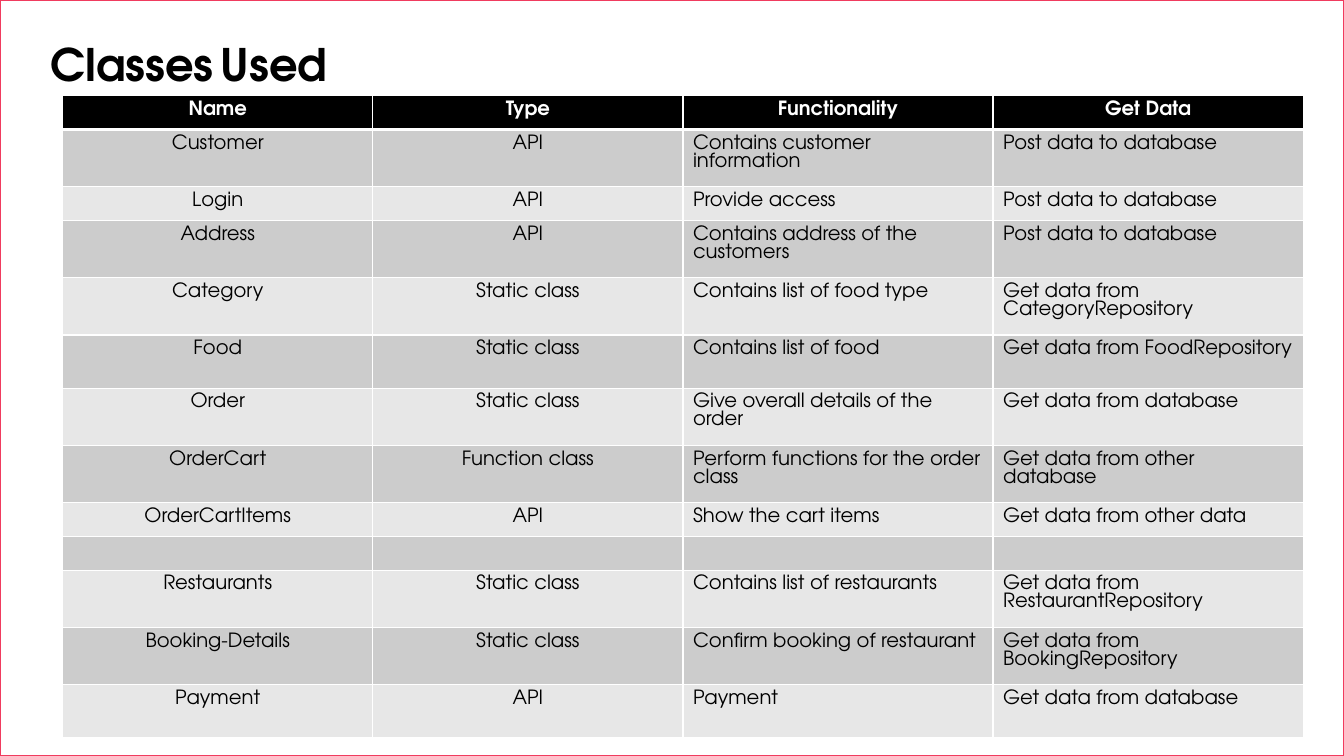
from lxml.etree import SubElement
from pptx import Presentation
from pptx.dml.color import RGBColor
from pptx.enum.shapes import MSO_SHAPE
from pptx.enum.text import MSO_ANCHOR, MSO_AUTO_SIZE, PP_ALIGN
from pptx.oxml.ns import qn
from pptx.util import Inches, Pt

BLACK = RGBColor(0x00, 0x00, 0x00)
WHITE = RGBColor(0xFF, 0xFF, 0xFF)
CHARCOAL = RGBColor(0x21, 0x21, 0x21)
ROSE = RGBColor(0xF0, 0x3B, 0x5E)
DARK_BAND = RGBColor(0xCC, 0xCC, 0xCC)
LIGHT_BAND = RGBColor(0xE7, 0xE7, 0xE7)

TIGHT, MEDIUM, TALL = 4.47, 7.05, 7.57

CLASSES = [
    (TIGHT, "Name", "Type", "Functionality", "Get Data"),
    (TALL, "Customer", "API", "Contains customer information", "Post data to database"),
    (TIGHT, "Login", "API", "Provide access", "Post data to database"),
    (TALL, "Address", "API", "Contains address of the customers", "Post data to database"),
    (TALL, "Category", "Static class", "Contains list of food type",
     "Get data from CategoryRepository"),
    (MEDIUM, "Food", "Static class", "Contains list of food", "Get data from FoodRepository"),
    (TALL, "Order", "Static class", "Give overall details of the order",
     "Get data from database"),
    (TALL, "OrderCart", "Function class", "Perform functions for the order class",
     "Get data from other database"),
    (TIGHT, "OrderCartItems", "API", "Show the cart items", "Get data from other data"),
    (TIGHT, "", "", "", ""),
    (TALL, "Restaurants", "Static class", "Contains list of restaurants",
     "Get data from RestaurantRepository"),
    (TALL, "Booking-Details", "Static class", "Confirm booking of restaurant",
     "Get data from BookingRepository"),
    (MEDIUM, "Payment", "API", "Payment", "Get data from database"),
]


class Deck:
    font = "TeX Gyre Adventor"

    def __init__(self):
        self.show = Presentation()
        self.show.slide_width, self.show.slide_height = Inches(13.33), Inches(7.5)
        self.slide = self.show.slides.add_slide(self.show.slide_layouts[5])

    def x(self, percent):
        return int(self.show.slide_width * percent / 100)

    def y(self, percent):
        return int(self.show.slide_height * percent / 100)

    def background(self, color):
        fill = self.slide.background.fill
        fill.solid()
        fill.fore_color.rgb = color

    def panel(self, fill, line, weight):
        panel = self.slide.shapes.add_shape(MSO_SHAPE.RECTANGLE, 0, 0, self.x(100), self.y(100))
        panel.shadow.inherit = False
        panel.fill.solid()
        panel.fill.fore_color.rgb = fill
        panel.line.color.rgb = line
        panel.line.width = Pt(weight)
        title = self.slide.shapes.title
        title.element.addprevious(panel.element)

    def style(self, paragraph, color, align):
        paragraph.alignment = align
        paragraph.font.name = self.font
        paragraph.font.color.rgb = color

    def title(self, left, top, width, height, pieces):
        title = self.slide.shapes.title
        title.left, title.top = self.x(left), self.y(top)
        title.width, title.height = self.x(width), self.y(height)
        frame = title.text_frame
        frame.word_wrap = True
        frame.auto_size = MSO_AUTO_SIZE.SHAPE_TO_FIT_TEXT
        frame.vertical_anchor = MSO_ANCHOR.TOP
        heading = frame.paragraphs[0]
        self.style(heading, BLACK, PP_ALIGN.LEFT)
        for text, size, bold in pieces:
            piece = heading.add_run()
            piece.text = text
            piece.font.size = Pt(size)
            piece.font.bold = bold

    def borders(self, cell, color, **weights):
        properties = cell._tc.get_or_add_tcPr()
        for side, weight in weights.items():
            line = SubElement(properties, qn(f"a:ln{side}"), w=str(Pt(weight)))
            SubElement(SubElement(line, qn("a:solidFill")), qn("a:srgbClr"), val=str(color))

    def cell(self, cell, text, header, fill, align, top, bottom):
        self.borders(cell, WHITE, L=1, R=1, T=top, B=bottom)
        cell.fill.solid()
        cell.fill.fore_color.rgb = fill
        cell.text = text
        paragraph = cell.text_frame.paragraphs[0]
        self.style(paragraph, WHITE if header else BLACK, align)
        paragraph.font.size = Pt(14)
        paragraph.font.bold = header

    def table(self, left, top, width, rows):
        height = sum(row[0] for row in rows)
        columns = len(rows[0]) - 1
        table = self.slide.shapes.add_table(
            len(rows), columns, self.x(left), self.y(top), self.x(width), self.y(height)).table
        table.first_row = table.horz_banding = False
        for column in table.columns:
            column.width = self.x(width / columns)
        for r, (row_height, *texts) in enumerate(rows):
            table.rows[r].height = self.y(row_height)
            header = r == 0
            fill = BLACK if header else DARK_BAND if r % 2 else LIGHT_BAND
            for c, text in enumerate(texts):
                align = PP_ALIGN.CENTER if header or c < 2 else PP_ALIGN.LEFT
                self.cell(table.cell(r, c), text, header, fill, align,
                          top=3 if r == 1 else 1, bottom=3 if header else 1)


deck = Deck()
deck.background(CHARCOAL)
deck.panel(WHITE, ROSE, 1.25)
deck.title(3, 4.13, 24.9, 8.53, [("Classes", 32, True), (" ", 18, False), ("Used", 32, True)])
deck.table(4.67, 12.67, 92.3, CLASSES)
deck.show.save("out.pptx")
